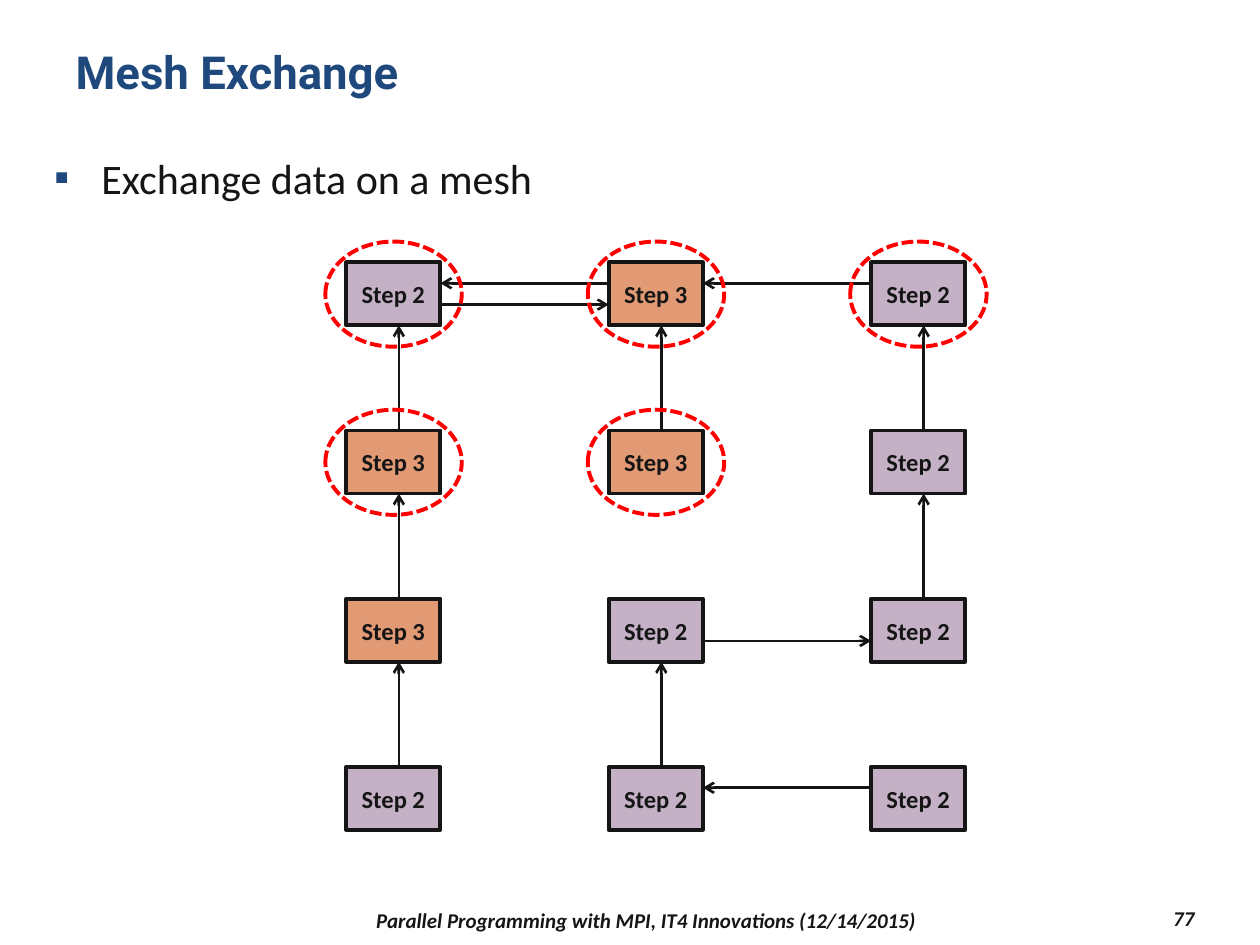
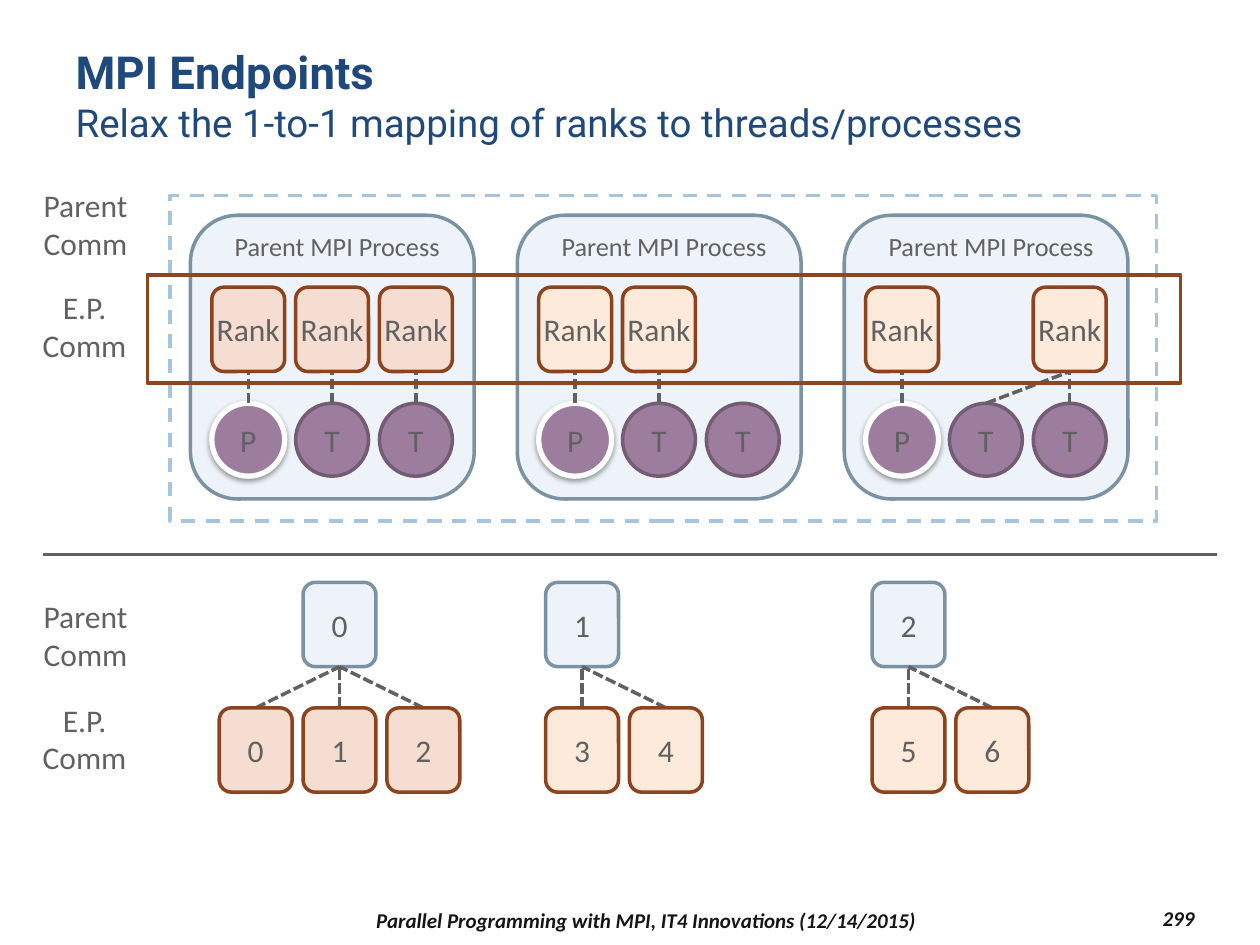
"""Build the mesh exchange and MPI endpoints slides."""
from dataclasses import dataclass
from itertools import product
from typing import Optional

from lxml.etree import SubElement as sub
from pptx import Presentation
from pptx.dml.color import RGBColor as Rgb
from pptx.enum.dml import MSO_LINE as Dash
from pptx.enum.shapes import MSO_CONNECTOR as Wire, MSO_SHAPE as Form
from pptx.enum.text import MSO_ANCHOR as Anchor, MSO_AUTO_SIZE as Fit, PP_ALIGN as Align
from pptx.oxml.ns import qn
from pptx.util import Cm, Pt

HUES = {
    "navy": "1F497D", "black": "151515", "gray": "616161", "red": "FF0000",
    "mauve": "C4B1C5", "orange": "E29A75", "sky": "A6C4DE", "ice": "EDF3F8",
    "steel": "7B91A4", "blush": "F5DDD1", "cream": "FDEADA", "rust": "8D441E",
    "frame": "8F451E", "plum": "9D7D9E", "grape": "745C75", "white": "FFFFFF",
    "shade": "000000",
}


@dataclass(frozen=True)
class Ink:
    size: float
    hue: str
    font: str = "Calibri"
    bold: bool = False
    slant: bool = False


@dataclass(frozen=True)
class Look:
    form: Form
    fill: Optional[str]
    edge: str
    width: float = 2
    dash: Optional[Dash] = None


@dataclass(frozen=True)
class Area:
    x: float
    y: float
    w: float
    h: float

    def cm(self) -> tuple:
        return Cm(self.x), Cm(self.y), Cm(self.w), Cm(self.h)


@dataclass(frozen=True)
class Host:
    fill: str
    ranks: tuple
    links: tuple
    left: float
    top_slot: int
    first: int
    count: int


HEAD = Ink(26, "navy", "Roboto", bold=True)
TAIL = Ink(22, "navy", "Roboto")
FOOT = Ink(12, "black", bold=True, slant=True)
STEP = Ink(14, "black", bold=True)
NOTE = Ink(18, "gray")
NAME = Ink(15, "gray")
RING = Look(Form.OVAL, None, "red", 2.25, Dash.SQUARE_DOT)
HOST = Look(Form.ROUNDED_RECTANGLE, "ice", "steel")
MAIN = Look(Form.OVAL, "plum", "white", 3)
THREAD = Look(Form.OVAL, "plum", "grape")

MESH = ((2, 3, 2), (3, 3, 2), (3, 2, 2), (2, 2, 2))
STEP_HUES = {2: "mauve", 3: "orange"}
RISES = ((1, 0), (1, 1), (2, 0), (3, 0), (3, 1), (1, 2), (2, 2))
LEFTS = ((0, 1), (0, 2), (3, 2))
RIGHTS = ((0, 0), (2, 1))
RINGS = ((0, 2), (0, 0), (1, 1), (0, 1), (1, 0))
STEP_W, STEP_H = 1.9, 1.27
ROW_GAP, COL_GAP = 3.39, 5.29

HOSTS = (
    Host("blush", (0, 1, 2), ((0, 0), (1, 1), (2, 2)), 4.42, 1, 0, 3),
    Host("cream", (0, 1), ((0, 0), (1, 1)), 11, 0, 3, 2),
    Host("cream", (0, 2), ((0, 0), (1, 2), (2, 2)), 17.58, 0, 5, 2),
)
HOST_X, HOST_GAP = 3.84, 6.59
SLOT, SIDE, TALL = 1.69, 1.47, 1.7
RANK_Y, THREAD_Y, TOP_Y, KID_Y = 5.79, 8.13, 11.74, 14.27
LABELS = (("Parent", 0.43, 3.63), ("E.P.", 0.41, 5.69),
          ("Parent", 0.43, 11.91), ("E.P.", 0.41, 14))


def tint(hue: str) -> Rgb:
    return Rgb.from_string(HUES[hue])


def write(para, text: str, ink: Ink) -> None:
    run = para.add_run()
    run.text = text
    font = run.font
    font.name, font.size = ink.font, Pt(ink.size)
    font.bold, font.italic = ink.bold, ink.slant
    font.color.rgb = tint(ink.hue)


def stroke(line, hue: str, width: float, dash: Optional[Dash]) -> None:
    line.color.rgb = tint(hue)
    line.width = Pt(width)
    if dash:
        line.dash_style = dash


def draw(slide, area: Area, look: Look, text: str = "", ink: Ink = NOTE):
    shape = slide.shapes.add_shape(look.form, *area.cm())
    shape.shadow.inherit = False
    if look.fill:
        shape.fill.solid()
        shape.fill.fore_color.rgb = tint(look.fill)
    else:
        shape.fill.background()
    stroke(shape.line, look.edge, look.width, look.dash)
    if text:
        frame = shape.text_frame
        frame.vertical_anchor = Anchor.MIDDLE
        frame.margin_left = frame.margin_right = 0
        para = frame.paragraphs[0]
        para.alignment = Align.CENTER
        write(para, text, ink)
    return shape


def shade(shape) -> None:
    effects = shape._element.spPr.find(qn("a:effectLst"))
    outer = sub(effects, qn("a:outerShdw"), blurRad="39400", dist="20300",
                dir="5400000", rotWithShape="0")
    color = sub(outer, qn("a:srgbClr"), val=HUES["shade"])
    sub(color, qn("a:alpha"), val="38000")


def join(slide, start: tuple, end: tuple, hue: str, width: float,
         dash: Optional[Dash] = None, arrow: bool = False) -> None:
    ends = [Cm(v) for v in start + end]
    wire = slide.shapes.add_connector(Wire.STRAIGHT, *ends)
    stroke(wire.line, hue, width, dash)
    if arrow:
        sub(wire.line._get_or_add_ln(), qn("a:tailEnd"), type="arrow")
    sub(wire._element.spPr, qn("a:effectLst"))


def label(slide, area: Area, lines: tuple, ink: Ink, align: Align = Align.CENTER,
          anchor: Anchor = Anchor.TOP, wrap: bool = False) -> None:
    frame = slide.shapes.add_textbox(*area.cm()).text_frame
    frame.word_wrap, frame.vertical_anchor = wrap, anchor
    para = frame.paragraphs[0]
    para.alignment = align
    for i, line in enumerate(lines):
        if i:
            para.add_line_break()
        write(para, line, ink)


def place(holder, area: Area):
    holder.left, holder.top, holder.width, holder.height = area.cm()
    frame = holder.text_frame
    frame.auto_size, frame.vertical_anchor = Fit.NONE, Anchor.TOP
    para = frame.paragraphs[0]
    para.alignment = Align.LEFT
    return para


def start(deck, layout: int, page: str, title: str, under: str = ""):
    slide = deck.slides.add_slide(deck.slide_layouts[layout])
    para = place(slide.shapes.title, Area(1.27, 0.76, 22.86, 2.21))
    write(para, title, HEAD)
    if under:
        para.add_line_break()
        write(para, under, TAIL)
    label(slide, Area(5.51, 18.21, 15.04, 0.69),
          ("Parallel Programming with MPI, IT4 Innovations (12/14/2015)",),
          FOOT, anchor=Anchor.MIDDLE, wrap=True)
    label(slide, Area(21.59, 18.16, 2.74, 0.69), (page,), FOOT,
          Align.RIGHT, Anchor.MIDDLE, True)
    return slide


def list_item(holder, text: str) -> None:
    para = place(holder, Area(0.84, 2.74, 23.7, 1.93))
    para.line_spacing, para.space_before = 1.2, Pt(0)
    props = para._p.get_or_add_pPr()
    props.set("marL", str(Cm(0.95)))
    props.set("indent", str(Cm(-0.95)))
    sub(sub(props, qn("a:buClr")), qn("a:srgbClr"), val=HUES["navy"])
    sub(props, qn("a:buFont"), typeface="Calibri")
    sub(props, qn("a:buChar"), char="▪")
    write(para, text, Ink(24, "black"))


def spot(row: int, col: int) -> tuple:
    return 6.98 + COL_GAP * col, 5.29 + ROW_GAP * row


def mesh_slide(deck) -> None:
    slide = start(deck, 1, "77", "Mesh Exchange")
    list_item(slide.placeholders[1], "Exchange data on a mesh")
    for row, col in product(range(4), range(3)):
        step = MESH[row][col]
        look = Look(Form.RECTANGLE, STEP_HUES[step], "black", 2.25)
        draw(slide, Area(*spot(row, col), STEP_W, STEP_H), look, f"Step {step}", STEP)
    paths = []
    for cell in RISES:
        x, y = spot(*cell)
        paths.append(((x + 1.06, y), (x + 1.06, y - ROW_GAP + STEP_H)))
    for cell in LEFTS:
        x, y = spot(*cell)
        paths.append(((x, y + 0.42), (x - COL_GAP + STEP_W, y + 0.42)))
    for cell in RIGHTS:
        x, y = spot(*cell)
        paths.append(((x + STEP_W, y + 0.85), (x + COL_GAP, y + 0.85)))
    for tail, tip in paths:
        join(slide, tail, tip, "black", 1.5, arrow=True)
    for cell in RINGS:
        x, y = spot(*cell)
        draw(slide, Area(x - 0.42, y - 0.42, 2.75, 2.12), RING)


def link(slide, low: tuple, high: tuple) -> None:
    join(slide, low, high, "gray", 2, Dash.SQUARE_DOT)


def host_box(slide, x: float, host: Host) -> None:
    draw(slide, Area(x, 4.34, 5.72, 5.72), HOST)
    label(slide, Area(x + 0.15, 4.52, 5.62, 0.89), ("Parent MPI Process",), NAME)
    slots = [x + 0.43 + SLOT * i for i in range(3)]
    rank = Look(Form.ROUNDED_RECTANGLE, host.fill, "rust")
    for i, left in enumerate(slots):
        disc = draw(slide, Area(left, THREAD_Y, SIDE, SIDE),
                    THREAD if i else MAIN, "T" if i else "P")
        if not i:
            shade(disc)
    for low, high in host.links:
        link(slide, (slots[low] + SIDE / 2, THREAD_Y),
             (slots[high] + SIDE / 2, RANK_Y + TALL))
    for i in host.ranks:
        draw(slide, Area(slots[i], RANK_Y, SIDE, TALL), rank, "Rank")


def tree(slide, index: int, host: Host) -> None:
    top = host.left + SLOT * host.top_slot
    draw(slide, Area(top, TOP_Y, SIDE, TALL), HOST, str(index))
    kid = Look(Form.ROUNDED_RECTANGLE, host.fill, "rust")
    for i in range(host.count):
        left = host.left + SLOT * i
        link(slide, (left + SIDE / 2, KID_Y), (top + SIDE / 2, TOP_Y + TALL))
        draw(slide, Area(left, KID_Y, SIDE, TALL), kid, str(host.first + i))


def endpoint_slide(deck) -> None:
    slide = start(deck, 5, "299", "MPI Endpoints",
                  "Relax the 1-to-1 mapping of ranks to threads/processes")
    draw(slide, Area(3.43, 3.94, 19.89, 6.56),
         Look(Form.RECTANGLE, None, "sky", dash=Dash.DASH))
    for i, host in enumerate(HOSTS):
        host_box(slide, HOST_X + HOST_GAP * i, host)
        tree(slide, i, host)
    draw(slide, Area(2.97, 5.54, 20.83, 2.18), Look(Form.RECTANGLE, None, "frame"))
    for word, x, y in LABELS:
        label(slide, Area(x, y, 2.59, 1.8), (word, "Comm"), NOTE)
    join(slide, (0.86, 11.18), (24.54, 11.18), "gray", 1.5)


def main() -> None:
    deck = Presentation()
    deck.slide_width, deck.slide_height = Cm(25.4), Cm(19.05)
    mesh_slide(deck)
    endpoint_slide(deck)
    deck.save("out.pptx")


if __name__ == "__main__":
    main()
